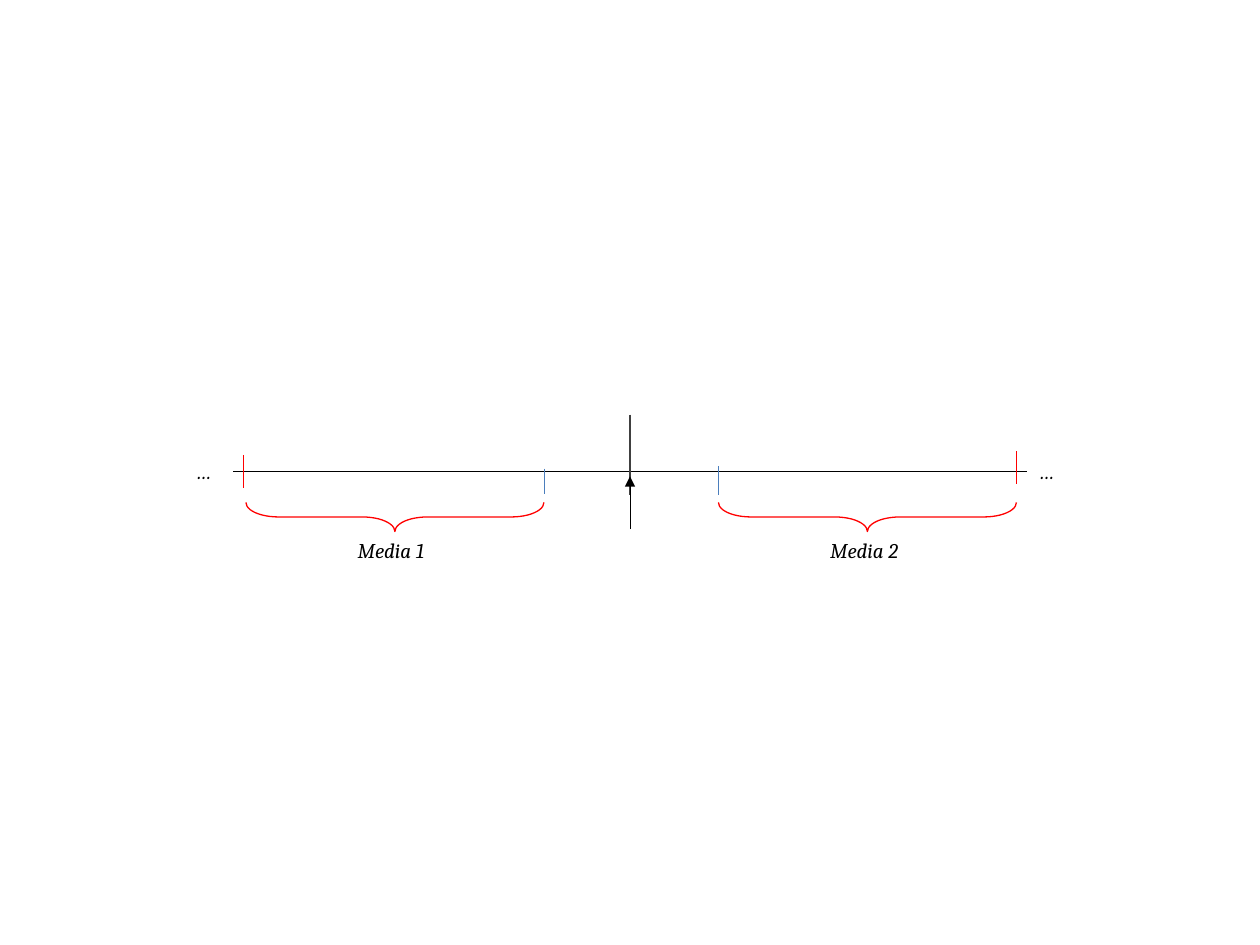
"""Draw a timeline with two braced media spans around a central marker."""
from dataclasses import dataclass

import pptx
import pptx.dml.color
import pptx.enum.shapes
import pptx.enum.text
import pptx.oxml
import pptx.oxml.ns
import pptx.presentation
import pptx.shapes.autoshape
import pptx.shapes.connector
import pptx.slide
import pptx.util

Pt = pptx.util.Pt


@dataclass(frozen=True)
class Theme:
    font: str = "Cambria"
    text_size: float = 12
    line_width: float = 0.75
    arrow_width: float = 0.25
    ink: str = "000000"
    marker: str = "404040"
    outer: str = "FF0000"
    inner: str = "4B7EBC"


@dataclass(frozen=True)
class Tick:
    x: float
    top: float
    bottom: float
    color: str


@dataclass(frozen=True)
class Label:
    text: str
    left: float
    top: float
    width: float


THEME = Theme()
AXIS_LEFT, AXIS_RIGHT, AXIS_Y = 133.2, 586.8, 269.3
CENTER_X = 360
LABEL_HEIGHT = 21.6
DOTS_WIDTH, DOTS_TOP = 28.1, 258.5
MEDIA_WIDTH, MEDIA_TOP = 56.9, 303.8
MEDIA_LEFT, BRACE_X, MEDIA_STEP = 197.3, 225.7, 270
BRACE_Y, BRACE_DEPTH, BRACE_SPAN = 295.4, 16.6, 170.3

TICKS = (
    Tick(139, 259.9, 278.6, THEME.outer),
    Tick(CENTER_X, 236.9, 283, THEME.marker),
    Tick(581, 257.8, 276.5, THEME.outer),
    Tick(311, 267.8, 282.2, THEME.inner),
    Tick(410.4, 266.4, 283, THEME.inner),
)
LABELS = (
    Label("…", AXIS_LEFT - DOTS_WIDTH, DOTS_TOP, DOTS_WIDTH),
    Label("…", AXIS_RIGHT, DOTS_TOP, DOTS_WIDTH),
    Label("Media 1", MEDIA_LEFT, MEDIA_TOP, MEDIA_WIDTH),
    Label("Media 2", MEDIA_LEFT + MEDIA_STEP, MEDIA_TOP, MEDIA_WIDTH),
)


def rgb(color: str) -> pptx.dml.color.RGBColor:
    """Turn a hex string into a colour."""
    return pptx.dml.color.RGBColor.from_string(color)


def add_label(page: pptx.slide.Slide, text: str, *, left: float, top: float,
              width: float, size: float = THEME.text_size,
              color: str = THEME.ink, italic: bool = True) -> None:
    """Add a one-line text box with the given format."""
    box = page.shapes.add_textbox(Pt(left), Pt(top), Pt(width), Pt(LABEL_HEIGHT))
    box.text_frame.word_wrap = False
    box.text_frame.auto_size = pptx.enum.text.MSO_AUTO_SIZE.SHAPE_TO_FIT_TEXT
    span = box.text_frame.paragraphs[0].add_run()
    span.text = text
    span.font.name = THEME.font
    span.font.size = Pt(size)
    span.font.italic = italic
    span.font.color.rgb = rgb(color)


def add_line(page: pptx.slide.Slide, start: tuple[float, float],
             end: tuple[float, float], color: str,
             width: float = THEME.line_width) -> pptx.shapes.connector.Connector:
    """Add a straight line without a shadow."""
    line = page.shapes.add_connector(
        pptx.enum.shapes.MSO_CONNECTOR.STRAIGHT,
        Pt(start[0]), Pt(start[1]), Pt(end[0]), Pt(end[1]))
    line.line.color.rgb = rgb(color)
    line.line.width = Pt(width)
    properties = line._element.spPr
    properties.append(pptx.oxml.parse_xml(
        f"<a:effectLst {pptx.oxml.ns.nsdecls('a')}/>"))
    return line


def add_arrow(page: pptx.slide.Slide, start: tuple[float, float],
              end: tuple[float, float]) -> None:
    """Add a thin line with a triangle at its end."""
    arrow = add_line(page, start, end, THEME.ink, THEME.arrow_width)
    arrow.line._get_or_add_ln().append(pptx.oxml.parse_xml(
        f"<a:tailEnd {pptx.oxml.ns.nsdecls('a')} type=\"triangle\"/>"))


def add_brace(page: pptx.slide.Slide, center_x: float) -> None:
    """Add a brace that opens upward, centred on the given position."""
    brace = page.shapes.add_shape(
        pptx.enum.shapes.MSO_SHAPE.LEFT_BRACE,
        Pt(center_x - BRACE_DEPTH / 2), Pt(BRACE_Y - BRACE_SPAN / 2),
        Pt(BRACE_DEPTH), Pt(BRACE_SPAN))
    brace.rotation = 270
    brace.adjustments[0] = 1.12
    brace.shadow.inherit = False
    brace.fill.background()
    brace.line.color.rgb = rgb(THEME.outer)
    brace.line.width = Pt(THEME.line_width)


def main() -> None:
    """Build and save the deck."""
    deck = pptx.Presentation()
    deck.slide_width, deck.slide_height = Pt(720), Pt(540)
    page = deck.slides.add_slide(deck.slide_layouts[6])
    for label in LABELS:
        add_label(page, label.text, left=label.left, top=label.top, width=label.width)
    add_line(page, (AXIS_LEFT, AXIS_Y), (AXIS_RIGHT, AXIS_Y), THEME.ink)
    for tick in TICKS:
        add_line(page, (tick.x, tick.top), (tick.x, tick.bottom), tick.color)
    add_arrow(page, (CENTER_X, 302.4), (CENTER_X, 272.2))
    for index in range(2):
        add_brace(page, BRACE_X + index * MEDIA_STEP)
    deck.save("out.pptx")


if __name__ == "__main__":
    main()
